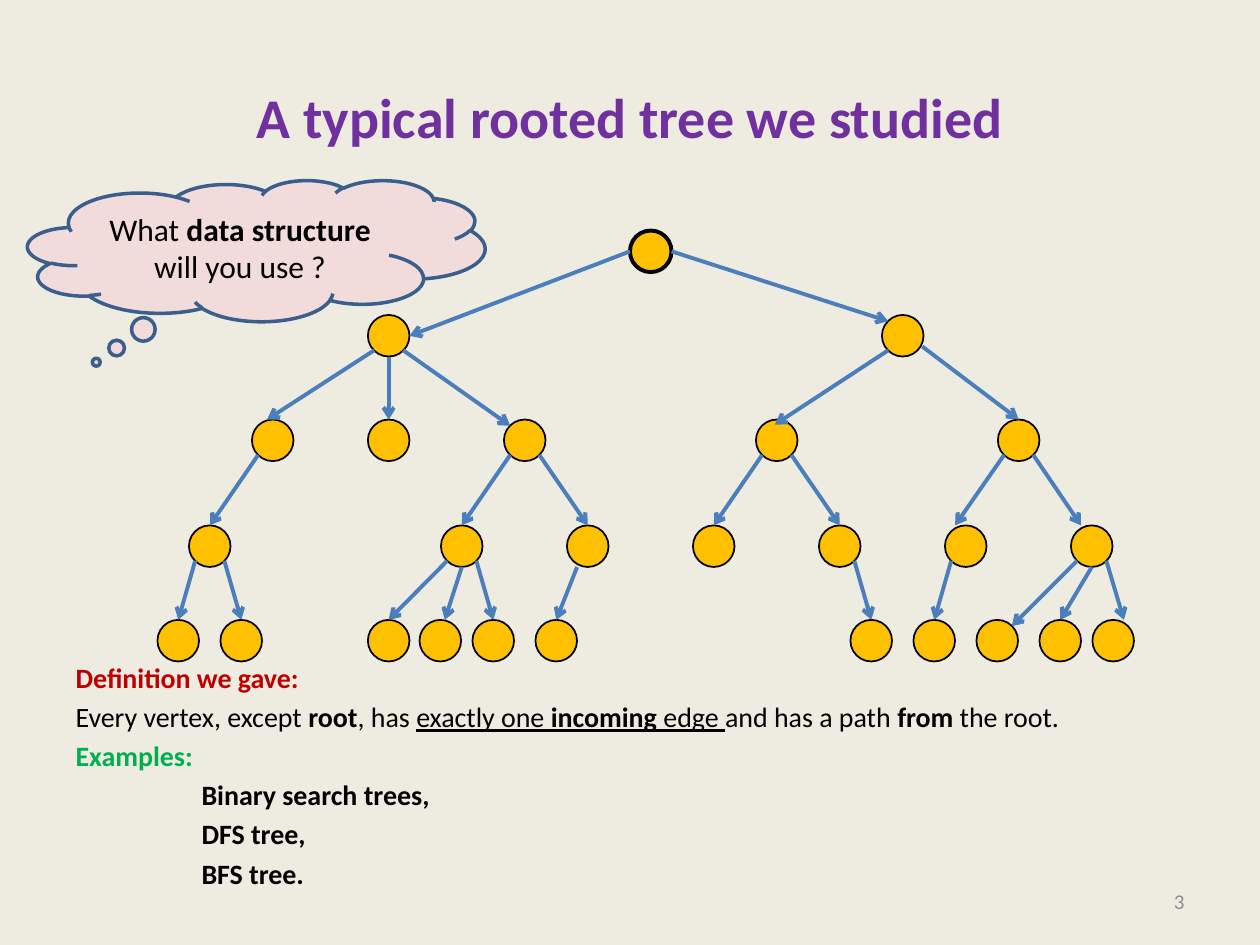
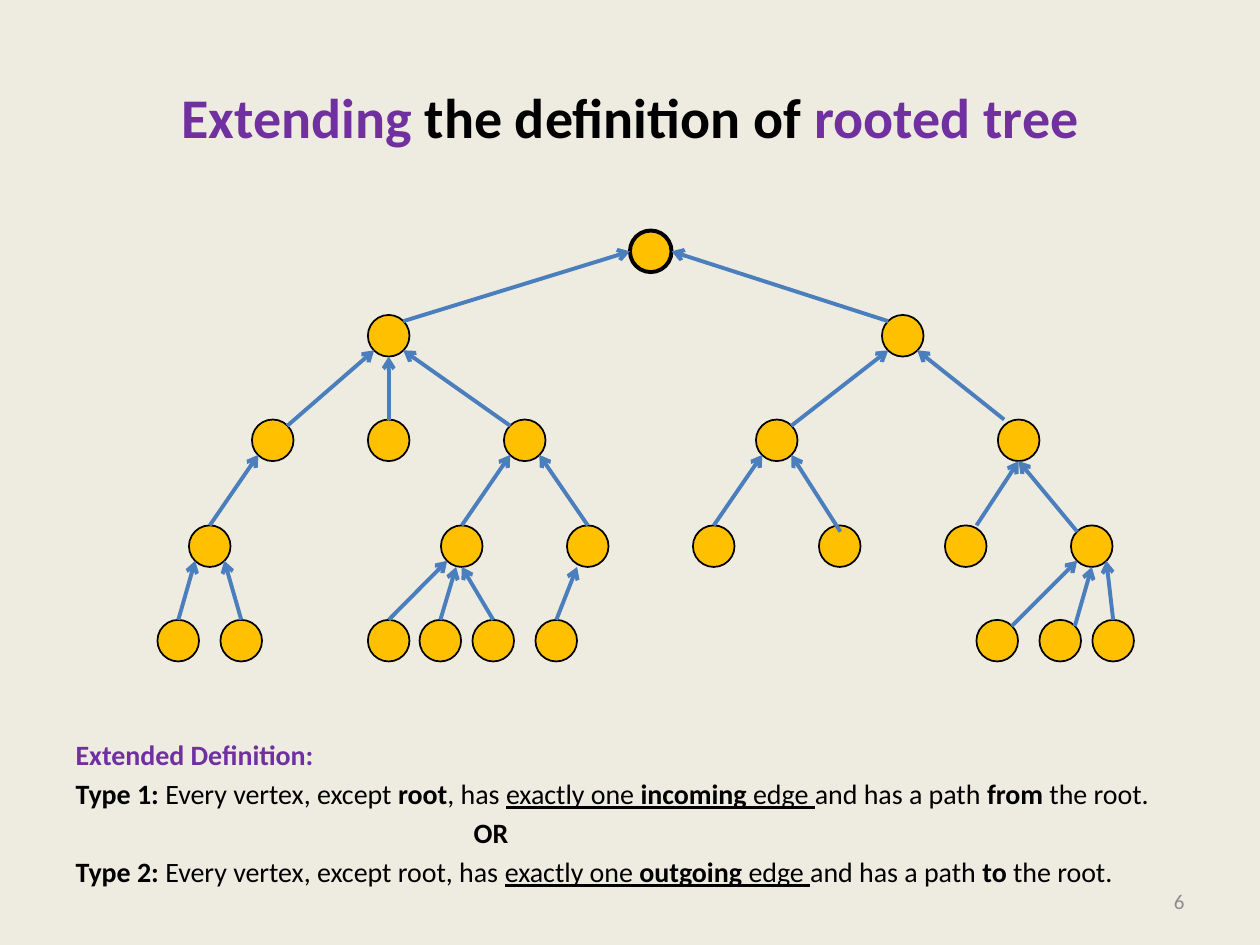
from pptx import Presentation
from pptx.dml.color import RGBColor
from pptx.enum.shapes import MSO_CONNECTOR, MSO_SHAPE
from pptx.enum.text import MSO_ANCHOR, MSO_AUTO_SIZE, PP_ALIGN
from pptx.oxml.ns import qn
from pptx.util import Inches, Pt
from lxml import etree

COLORS = {
    "background": "EEECE1", "purple": "7030A0", "red": "C00000",
    "green": "00B050", "black": "000000", "grey": "8C8C8C",
    "vertex": "FFC000", "edge": "4B7EBC",
    "cloud": "F2DCDB", "cloud_line": "3A5F8C",
}
FONT = "Calibri"

# Tree vertices: a row letter, the top of the row and the left of each vertex
DIAMETER = 0.33
ROWS = {
    "A": (1.83, [5]),
    "B": (2.5, [2.92, 7]),
    "C": (3.33, [2, 2.92, 4, 6, 7.92]),
    "D": (4.17, [1.5, 3.5, 4.5, 5.5, 6.5, 7.5, 8.5]),
    "E": (4.92, [1.25, 1.75, 2.92, 3.33, 3.75, 4.25, 6.75, 7.25, 7.75, 8.25, 8.67]),
}
VERTICES = {f"{row}{i}": (x, y) for row, (y, lefts) in ROWS.items()
            for i, x in enumerate(lefts)}

# Points on a vertex's rim, as fractions of its diameter
RIM = {"t": (0.5, 0), "b": (0.5, 1), "l": (0, 0.5), "r": (1, 0.5),
       "tl": (0.15, 0.15), "tr": (0.85, 0.15),
       "bl": (0.15, 0.85), "br": (0.85, 0.85)}

# Edges: each end is "vertex.rim" or a free point
DOWN_EDGES = [
    ("A0.l", "B0.r"), ("A0.r", "B1.tl"),
    ("B0.bl", (2.12, 3.33)), ("B0.b", "C1.t"), ("B0.br", "C2.tl"),
    ("B1.bl", (6.15, 3.37)), ((7.32, 2.75), "C4.t"),
    ("C0.bl", "D0.t"), ("C2.bl", "D1.t"), ("C2.br", "D2.t"),
    ("C3.bl", "D3.t"), ("C3.br", "D4.t"),
    ("C4.bl", (7.58, 4.17)), ("C4.br", (8.58, 4.17)),
    ("D0.bl", "E0.t"), ("D0.br", "E1.t"),
    ("D1.bl", "E2.t"), ("D1.b", (3.53, 4.92)), ("D1.br", "E4.t"),
    ((4.58, 4.5), "E5.t"), ("D4.br", "E6.t"), ("D5.bl", "E7.t"),
    ("D6.bl", "E8.tr"), ("D6.b", "E9.t"), ("D6.br", (8.92, 4.92)),
]
UP_EDGES = [
    ("B0.tr", "A0.l"), ("B1.tl", "A0.r"),
    ("C0.tr", "B0.bl"), ("C1.t", "B0.b"), ("C2.tl", "B0.br"),
    ("C3.tr", "B1.bl"), ((7.97, 3.33), "B1.br"),
    ("D0.t", "C0.bl"), ("D1.t", "C2.bl"), ("D2.t", "C2.br"),
    ("D3.t", "C3.bl"), ((6.67, 4.22), "C3.br"),
    ((7.75, 4.17), "C4.b"), ("D6.tl", "C4.b"),
    ("E0.t", "D0.bl"), ("E1.t", "D0.br"),
    ("E2.t", "D1.bl"), ("E3.t", (3.62, 4.5)), ("E4.t", "D1.b"),
    ("E5.t", (4.58, 4.5)),
    ("E8.tr", "D6.bl"), ("E9.tr", "D6.b"), ("E10.t", "D6.br"),
]


def color(name):
    return RGBColor.from_string(COLORS[name])


def place(sp, x, y, w, h):
    sp.left, sp.top, sp.width, sp.height = map(Inches, (x, y, w, h))


def add_runs(p, runs, size):
    """Each run is (text, flags, colour); flags hold b for bold, u for underline."""
    for text, flags, name in runs:
        r = p.add_run()
        r.text = text
        r.font.name, r.font.size = FONT, Pt(size)
        r.font.bold, r.font.underline = "b" in flags, "u" in flags
        r.font.color.rgb = color(name)


def black(*runs):
    return [(text, flags, "black") for text, flags in runs]


def rule(direction, preposition, root_flags="b"):
    """The sentence that defines a rooted tree."""
    return black(("Every vertex, except ", ""), ("root", root_flags), (", has ", ""),
                 ("exactly one ", "u"), (direction, "bu"), (" edge ", "u"),
                 ("and has a path ", ""), (preposition, "b"), (" the root.", ""))


def add_slide(prs, title, number):
    s = prs.slides.add_slide(prs.slide_layouts[1])
    place(s.shapes.title, 0.5, 0.3, 9, 1.25)
    tf = s.shapes.title.text_frame
    tf.vertical_anchor = MSO_ANCHOR.MIDDLE
    tf.paragraphs[0].alignment = PP_ALIGN.CENTER
    add_runs(tf.paragraphs[0], title, 32)
    # Slide number
    tf = s.shapes.add_textbox(Inches(7.17), Inches(6.95), Inches(2.33), Inches(0.4)).text_frame
    tf.word_wrap = True
    tf.vertical_anchor = MSO_ANCHOR.MIDDLE
    tf.paragraphs[0].alignment = PP_ALIGN.RIGHT
    add_runs(tf.paragraphs[0], [(number, "", "grey")], 12)
    return s


def fill_body(s, top, lines):
    """Each line is (indent in inches, runs)."""
    body = s.placeholders[1]
    place(body, 0.5, top, 9, 7.25 - top)
    tf = body.text_frame
    tf.auto_size = MSO_AUTO_SIZE.NONE
    for i, (indent, runs) in enumerate(lines):
        p = tf.add_paragraph() if i else tf.paragraphs[0]
        pPr = p._p.get_or_add_pPr()
        pPr.set("marL", str(Inches(indent)))
        pPr.set("indent", "0")
        etree.SubElement(pPr, qn("a:buNone"))
        p.space_before = Pt(3.2 if i else 0)
        add_runs(p, runs, 16)


def style_shape(sp, fill, line, width):
    sp.shadow.inherit = False
    sp.fill.solid()
    sp.fill.fore_color.rgb = color(fill)
    sp.line.color.rgb = color(line)
    sp.line.width = Pt(width)


def add_vertex(shapes, name):
    x, y = VERTICES[name]
    sp = shapes.add_shape(MSO_SHAPE.OVAL, Inches(x), Inches(y),
                          Inches(DIAMETER), Inches(DIAMETER))
    style_shape(sp, "vertex", "black", 2.25 if name == "A0" else 1)


def edge_end(end):
    if isinstance(end, tuple):
        return end
    name, rim = end.split(".")
    return [at + DIAMETER * part for at, part in zip(VERTICES[name], RIM[rim])]


def add_edge(shapes, start, end):
    points = [Inches(v) for v in (*edge_end(start), *edge_end(end))]
    c = shapes.add_connector(MSO_CONNECTOR.STRAIGHT, *points)
    c.line.color.rgb = color("edge")
    c.line.width = Pt(2.25)
    etree.SubElement(c.line._get_or_add_ln(), qn("a:tailEnd"), type="arrow")
    etree.SubElement(c._element.spPr, qn("a:effectLst"))


def add_tree(s, edges, missing=()):
    shapes = s.shapes.add_group_shape().shapes
    for name in VERTICES:
        if name not in missing:
            add_vertex(shapes, name)
    for start, end in edges:
        add_edge(shapes, start, end)


def add_thought(s, runs):
    sp = s.shapes.add_shape(MSO_SHAPE.CLOUD_CALLOUT, Inches(0.22), Inches(1.43),
                            Inches(3.63), Inches(1.12))
    sp.adjustments[0], sp.adjustments[1] = -0.35, 0.79
    style_shape(sp, "cloud", "cloud_line", 2)
    tf = sp.text_frame
    tf.word_wrap = True
    tf.vertical_anchor = MSO_ANCHOR.MIDDLE
    tf.paragraphs[0].alignment = PP_ALIGN.CENTER
    add_runs(tf.paragraphs[0], runs, 18)


def main():
    prs = Presentation()
    prs.slide_width, prs.slide_height = Inches(10), Inches(7.5)
    fill = prs.slide_master.background.fill
    fill.solid()
    fill.fore_color.rgb = color("background")

    # Tree with edges leading away from the root
    s = add_slide(prs, [("A typical rooted tree we studied", "b", "purple")], "3")
    examples = ("Binary search trees,", "DFS tree,", "BFS tree.")
    fill_body(s, 5.19, [
        (0, [("Definition we gave:", "b", "red")]),
        (0, rule("incoming", "from")),
        (0, [("Examples:", "b", "green")]),
        *[(1, black((text, "b"))) for text in examples],
    ])
    add_tree(s, DOWN_EDGES)
    add_thought(s, black(("What ", ""), ("data structure ", "b"), ("will you use ?", "")))

    # Tree with edges leading to the root
    s = add_slide(prs, [("Extending ", "b", "purple"), ("the definition of ", "b", "black"),
                        ("rooted tree", "b", "purple")], "6")
    fill_body(s, 5.8, [
        (0, [("Extended Definition:", "b", "purple")]),
        (0, black(("Type 1: ", "b")) + rule("incoming", "from")),
        (3.16, black(("OR", "b"))),
        (0, black(("Type 2: ", "b")) + rule("outgoing", "to", root_flags="")),
    ])
    add_tree(s, UP_EDGES, missing=("E6", "E7"))

    prs.save("out.pptx")


if __name__ == "__main__":
    main()
